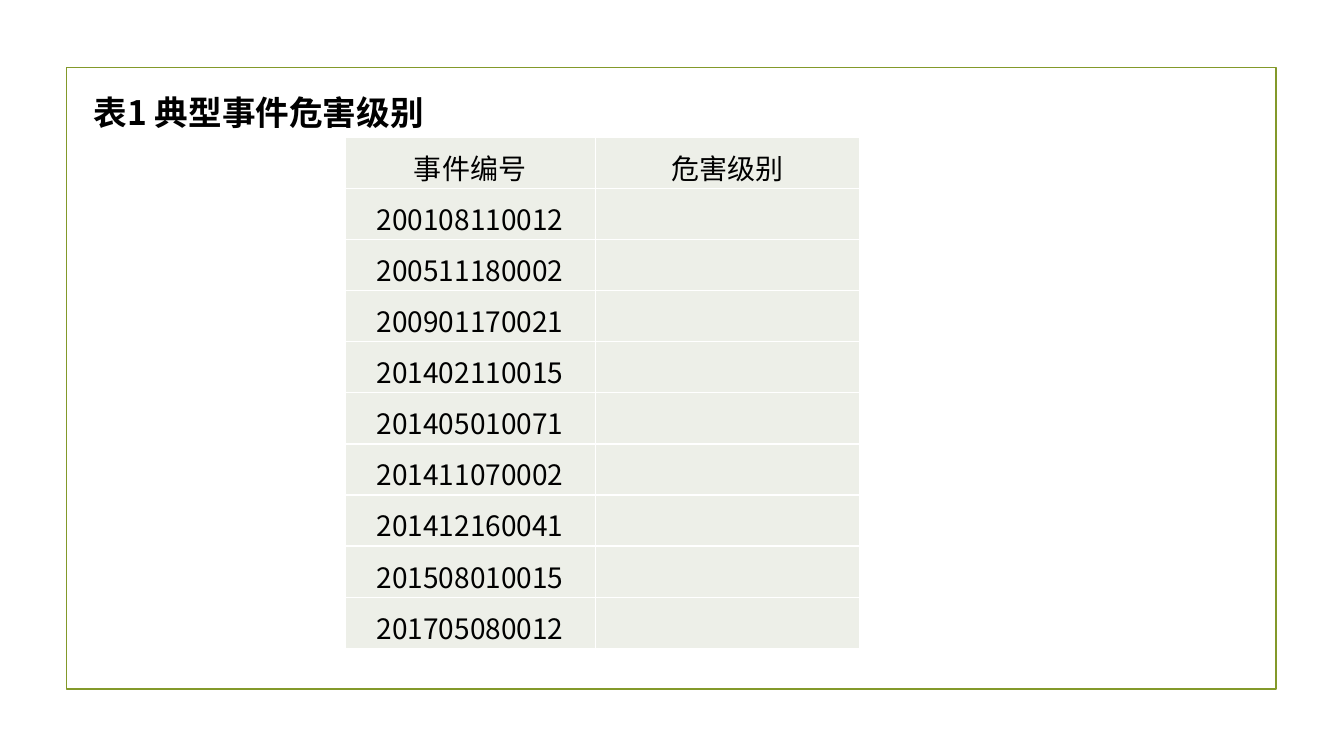
from lxml.etree import SubElement
from pptx import Presentation
from pptx.dml.color import RGBColor
from pptx.enum.shapes import MSO_SHAPE as Shape
from pptx.enum.text import MSO_ANCHOR as Anchor, MSO_AUTO_SIZE as Fit, PP_ALIGN as Align
from pptx.oxml.ns import qn
from pptx.util import Pt

FACE = "Noto Sans CJK SC"
EVENTS = [
    "200108110012", "200511180002", "200901170021",
    "201402110015", "201405010071", "201411070002",
    "201412160041", "201508010015", "201705080012",
]
ROWS = [("事件编号", "危害级别")] + [(event, "") for event in EVENTS]
COLS = [178.8, 189.2]
ROW = 36.5


def color(code):
    return RGBColor.from_string(code)


def assign(item, values):
    for name, value in values.items():
        setattr(item, name, value)


def write(frame, text, size, align, bold=False):
    para = frame.paragraphs[0]
    para.alignment = align
    run = para.add_run()
    run.text = text
    assign(run.font, {"name": FACE, "size": Pt(size), "bold": bold})
    run.font.color.rgb = color("000000")
    SubElement(run.font._element, qn("a:ea"), typeface=FACE)


def add_frame(slide):
    box = slide.shapes.add_shape(Shape.RECTANGLE, Pt(47.5), Pt(48.2), Pt(864), Pt(444.2))
    box.shadow.inherit = False
    box.fill.background()
    box.line.color.rgb = color("83992A")
    box.line.width = Pt(1.25)


def set_title(slide, text):
    title = slide.shapes.title
    assign(title, {"left": Pt(59.8), "top": Pt(61.9), "width": Pt(282.2), "height": Pt(36)})
    frame = title.text_frame
    assign(frame, {"word_wrap": True, "auto_size": Fit.SHAPE_TO_FIT_TEXT,
                   "vertical_anchor": Anchor.MIDDLE})
    write(frame, text, 24, Align.LEFT, True)


def add_edges(cell, code, width):
    props = cell._tc.get_or_add_tcPr()
    for side in ("lnL", "lnR", "lnT", "lnB"):
        line = SubElement(props, qn(f"a:{side}"), w=str(Pt(width)))
        fill = SubElement(line, qn("a:solidFill"))
        SubElement(fill, qn("a:srgbClr"), val=code)


def fill_cell(cell, text):
    add_edges(cell, "FFFFFF", 1)
    cell.fill.solid()
    cell.fill.fore_color.rgb = color("EDEFE8")
    sides = ("left", "right", "top", "bottom")
    assign(cell, {f"margin_{side}": Pt(0.75) for side in sides})
    cell.vertical_anchor = Anchor.BOTTOM
    if text:
        write(cell.text_frame, text, 20, Align.CENTER)


def add_grid(slide):
    grid = slide.shapes.add_table(len(ROWS), len(COLS), Pt(246.4), Pt(98.2),
                                  Pt(sum(COLS)), Pt(ROW * len(ROWS))).table
    for col, width in zip(grid.columns, COLS):
        col.width = Pt(width)
    for row, texts in zip(grid.rows, ROWS):
        row.height = Pt(ROW)
        for cell, text in zip(row.cells, texts):
            fill_cell(cell, text)


def main():
    deck = Presentation()
    assign(deck, {"slide_width": Pt(960), "slide_height": Pt(540)})
    slide = deck.slides.add_slide(deck.slide_layouts[5])
    add_frame(slide)
    add_grid(slide)
    set_title(slide, "表1 典型事件危害级别")
    deck.save("out.pptx")


if __name__ == "__main__":
    main()
